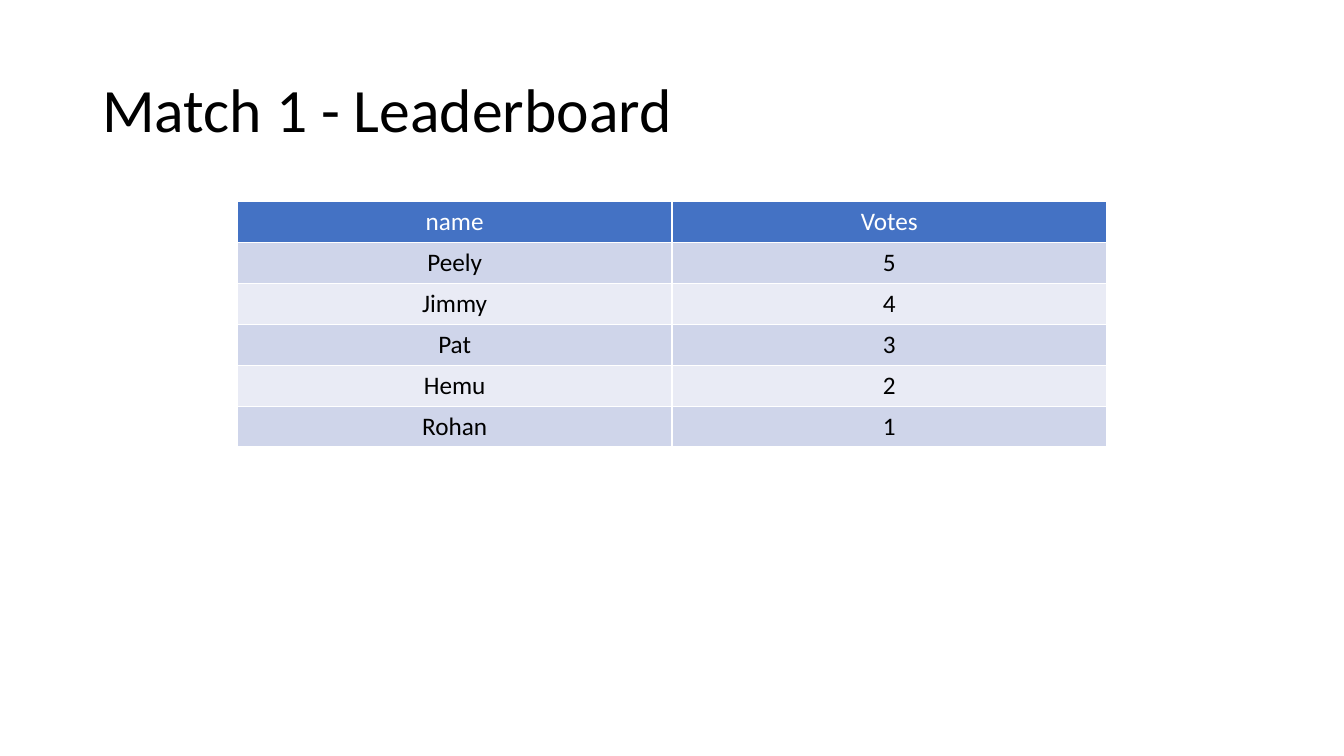
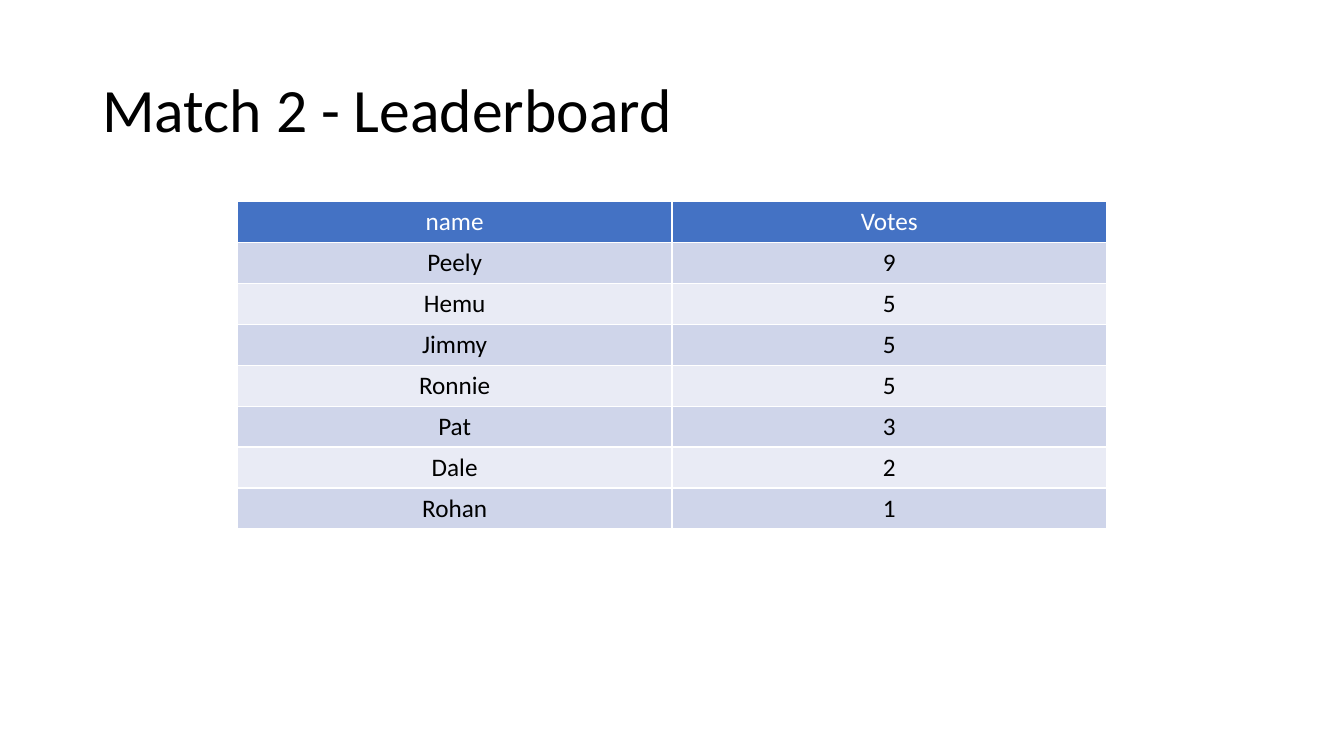
"""Build the match leaderboards, one slide with a title and a table per match."""
from pptx import Presentation
from pptx.dml.color import RGBColor
from pptx.enum.text import MSO_ANCHOR, PP_ALIGN
from pptx.util import Pt

PX = 9525
FONT = "Calibri"
BLACK, WHITE, BLUE = "000000", "FFFFFF", "4472C4"
BANDS = ("CFD5EA", "E9EBF5")
TABLE_LEFT, TABLE_TOP = 226, 192
COLUMN_WIDTH, ROW_HEIGHT = 414, 39

HEADER = ("name", "Votes")
MATCHES = {
    "Match 1 - Leaderboard": [
        ("Peely", 5), ("Jimmy", 4), ("Pat", 3), ("Hemu", 2), ("Rohan", 1),
    ],
    "Match 2 - Leaderboard": [
        ("Peely", 9), ("Hemu", 5), ("Jimmy", 5), ("Ronnie", 5),
        ("Pat", 3), ("Dale", 2), ("Rohan", 1),
    ],
}


def px(*lengths):
    return [length * PX for length in lengths]


def style_text(paragraph, size, color):
    font = paragraph.font
    font.name, font.size, font.bold = FONT, Pt(size), False
    font.color.rgb = RGBColor.from_string(color)


deck = Presentation()
deck.slide_width, deck.slide_height = px(1280, 720)

for title, scores in MATCHES.items():
    page = deck.slides.add_slide(deck.slide_layouts[6])

    box = page.shapes.add_textbox(*px(88, 38, 1104, 139))
    box.text_frame.word_wrap = True
    box.text_frame.vertical_anchor = MSO_ANCHOR.MIDDLE
    heading = box.text_frame.paragraphs[0]
    heading.text = title
    heading.line_spacing = 0.9
    style_text(heading, 44, BLACK)

    rows = [HEADER, *scores]
    frame = page.shapes.add_table(
        len(rows), len(HEADER),
        *px(TABLE_LEFT, TABLE_TOP, COLUMN_WIDTH * len(HEADER), ROW_HEIGHT * len(rows)),
    )
    for row_index, row in enumerate(rows):
        is_header = row_index == 0
        fill = BLUE if is_header else BANDS[(row_index - 1) % 2]
        for column_index, value in enumerate(row):
            cell = frame.table.cell(row_index, column_index)
            cell.fill.solid()
            cell.fill.fore_color.rgb = RGBColor.from_string(fill)
            para = cell.text_frame.paragraphs[0]
            para.text = str(value)
            para.alignment = PP_ALIGN.CENTER
            style_text(para, 18, WHITE if is_header else BLACK)

deck.save("out.pptx")
